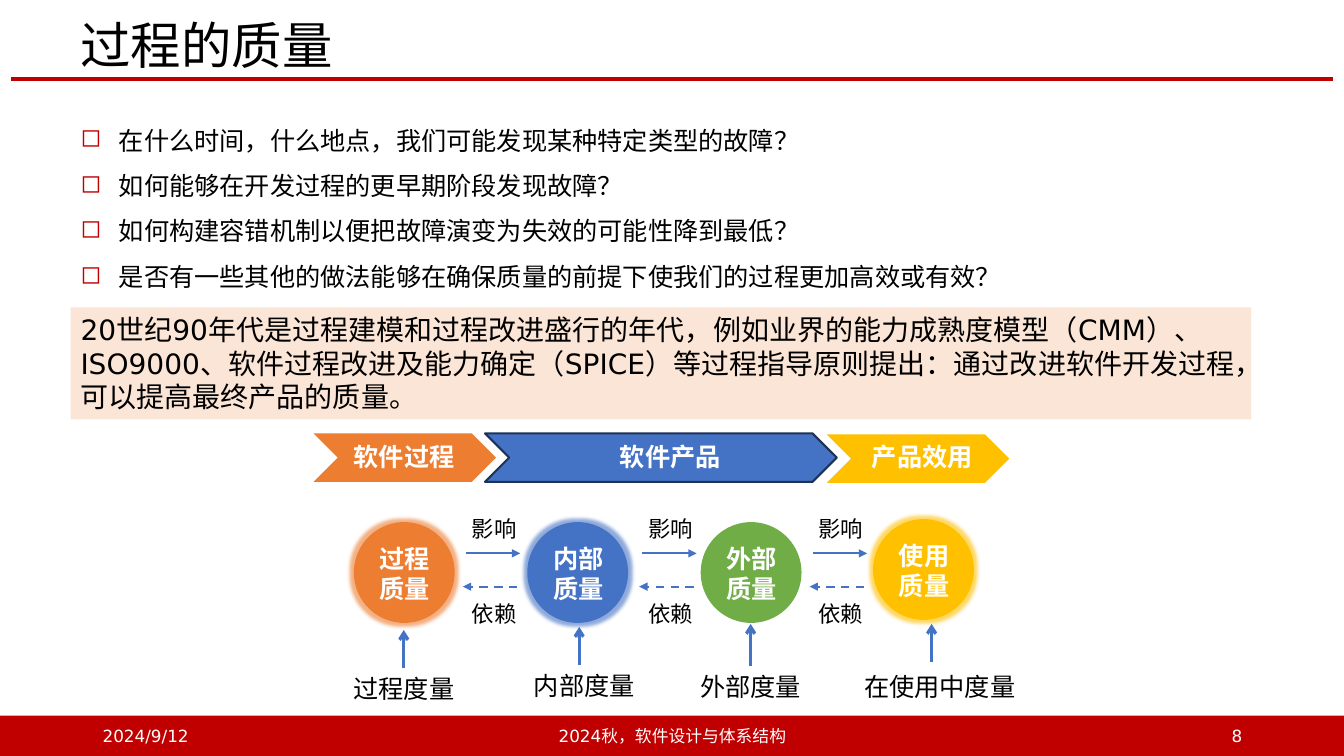
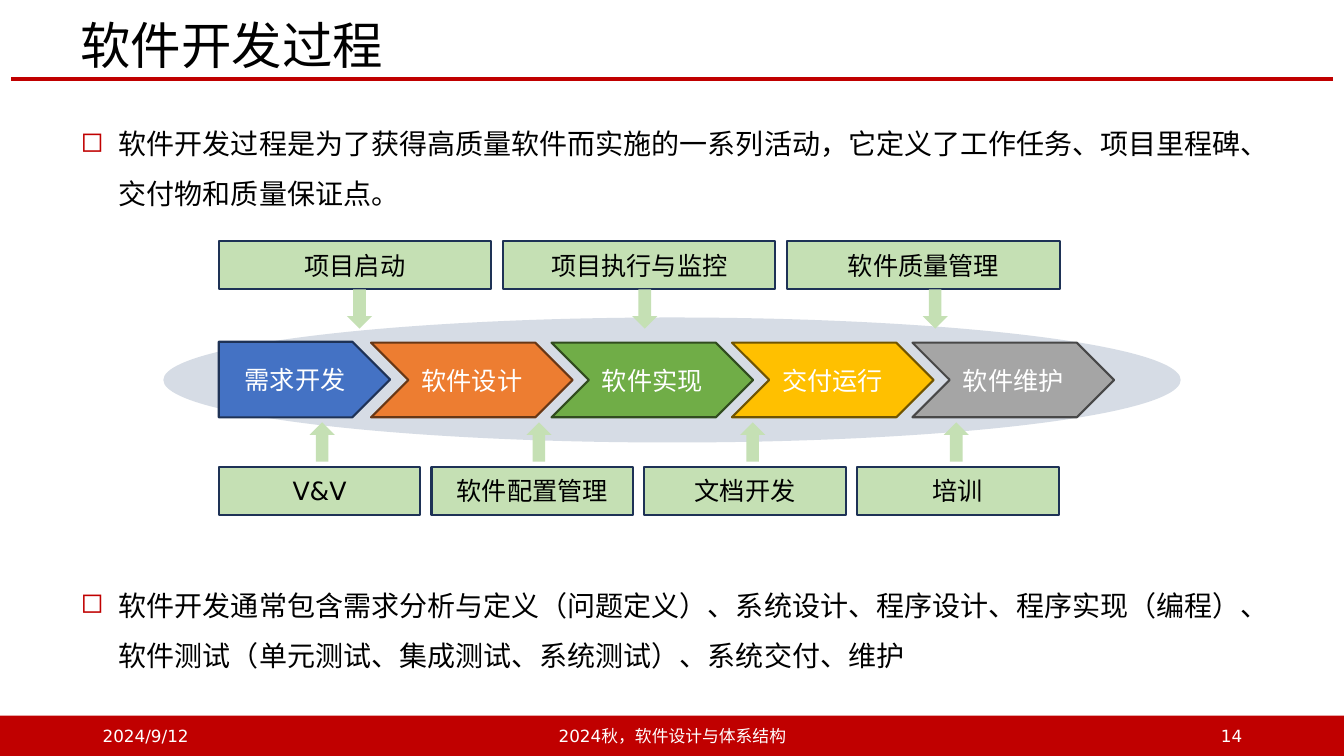
from dataclasses import dataclass
from typing import Optional

from lxml.etree import SubElement
from pptx import Presentation
from pptx.dml.color import RGBColor
from pptx.enum.dml import MSO_LINE
from pptx.enum.shapes import MSO_CONNECTOR as Connector, MSO_SHAPE as Shape
from pptx.enum.text import MSO_ANCHOR as Anchor, PP_ALIGN as Align
from pptx.oxml.ns import qn
from pptx.util import Inches, Pt

RED, WHITE, BLACK = "C00000", "FFFFFF", "000000"
BLUE, ORANGE, GREEN, GOLD, GRAY = "4472C4", "ED7D31", "70AD47", "FFC000", "A5A5A5"
NAVY, PALE_GREEN, PALE_BLUE, PEACH = "1E3256", "C5E0B4", "D6DCE5", "FBE5D6"
BODY_FONT, CJK_FONT = "DejaVu Sans", "Noto Sans CJK SC"
MARGIN, CONTENT_WIDTH = 0.7, 11.71
SLIDE_WIDTH, SLIDE_HEIGHT = 13.33, 7.5


@dataclass(frozen=True)
class Box:
    left: float
    top: float
    width: float
    height: float

    def lengths(self) -> tuple:
        return tuple(Inches(n) for n in (self.left, self.top, self.width, self.height))


@dataclass(frozen=True)
class Stage:
    text: str
    box: Box
    fill: str
    line: Optional[str] = None
    preset: Shape = Shape.CHEVRON


@dataclass(frozen=True)
class Quality:
    text: str
    left: float
    top: float
    fill: str
    glow: bool = True


@dataclass(frozen=True)
class Metric:
    text: str
    box: Box
    arrow_end: float
    arrow_shift: float = 0


@dataclass(frozen=True)
class Activity:
    text: str
    arrow_left: float


def rgb(color: str) -> RGBColor:
    return RGBColor.from_string(color)


def write_text(shape, text: str, *, size: float = 18, font: str = BODY_FONT,
               color: str = BLACK, bold: bool = False, align=Align.LEFT,
               anchor=Anchor.TOP, wrap: bool = True, spacing: float = 1,
               bullet: bool = False) -> None:
    """Fill a shape with text, one paragraph for each line."""
    frame = shape.text_frame
    frame.word_wrap = wrap
    frame.vertical_anchor = anchor
    for index, line in enumerate(text.split("\n")):
        paragraph = frame.paragraphs[0] if index == 0 else frame.add_paragraph()
        paragraph.alignment = align
        paragraph.line_spacing = spacing
        if bullet:
            add_bullet(paragraph)
        run = paragraph.add_run()
        run.text = line
        run.font.size = Pt(size)
        run.font.bold = bold
        run.font.color.rgb = rgb(color)
        run.font.name = font
        SubElement(run._r.get_or_add_rPr(), qn("a:ea"), typeface=font)


def add_bullet(paragraph) -> None:
    properties = paragraph._p.get_or_add_pPr()
    indent = Inches(0.38)
    properties.set("marL", str(indent))
    properties.set("indent", str(-indent))
    SubElement(SubElement(properties, qn("a:buClr")), qn("a:srgbClr"), val=RED)
    SubElement(properties, qn("a:buChar"), char="◻")


def add_text(slide, text: str, box: Box, **text_format):
    shape = slide.shapes.add_textbox(*box.lengths())
    write_text(shape, text, **text_format)
    return shape


def add_shape(slide, preset: Shape, box: Box, fill: str, line: Optional[str] = None):
    shape = slide.shapes.add_shape(preset, *box.lengths())
    shape.shadow.inherit = False
    shape.fill.solid()
    shape.fill.fore_color.rgb = rgb(fill)
    if line:
        shape.line.color.rgb = rgb(line)
        shape.line.width = Pt(1.5)
    else:
        shape.line.fill.background()
    return shape


def add_glow(shape, color: str) -> None:
    effects = shape._element.spPr.find(qn("a:effectLst"))
    glow = SubElement(effects, qn("a:glow"), rad=str(Pt(5)))
    tint = SubElement(glow, qn("a:srgbClr"), val=color)
    SubElement(tint, qn("a:alpha"), val="60000")


def add_line(slide, start: tuple, end: tuple, color: str, width: float,
             arrow: Optional[str] = None, dashed: bool = False):
    points = [Inches(n) for n in (*start, *end)]
    connector = slide.shapes.add_connector(Connector.STRAIGHT, *points)
    connector.line.color.rgb = rgb(color)
    connector.line.width = Pt(width)
    if dashed:
        connector.line.dash_style = MSO_LINE.DASH
    if arrow:
        SubElement(connector.line._get_or_add_ln(), qn("a:tailEnd"), type=arrow)
    SubElement(connector._element.spPr, qn("a:effectLst"))
    return connector


def add_base_slide(presentation, title: str, number: int):
    """Add a blank slide with the title, red rule and footer band."""
    slide = presentation.slides.add_slide(presentation.slide_layouts[6])
    add_line(slide, (0.11, 0.78), (13.22, 0.78), RED, 3)
    add_shape(slide, Shape.RECTANGLE, Box(0, 7.1, SLIDE_WIDTH, 0.4), RED)
    add_text(slide, title, Box(MARGIN, 0.18, CONTENT_WIDTH, 0.6), size=36,
             font=CJK_FONT, anchor=Anchor.MIDDLE, spacing=0.9)
    footers = (
        ("2024/9/12", 0.92, 3, Align.LEFT),
        ("2024秋，软件设计与体系结构", 4.42, 4.5, Align.CENTER),
        (str(number), 9.42, 3, Align.RIGHT),
    )
    for text, left, width, align in footers:
        add_text(slide, text, Box(left, 7.1, width, 0.4), size=12, color=WHITE,
                 align=align, anchor=Anchor.MIDDLE)
    return slide


def add_bullets(slide, text: str, top: float, height: float, size: float) -> None:
    add_text(slide, text, Box(MARGIN, top, CONTENT_WIDTH, height), size=size,
             spacing=1.5, bullet=True)


def add_quality(slide, quality: Quality) -> None:
    circle = add_shape(slide, Shape.OVAL, Box(quality.left, quality.top, 1, 1), quality.fill)
    if quality.glow:
        add_glow(circle, quality.fill)
    add_text(slide, quality.text, Box(quality.left + 0.15, quality.top + 0.16, 0.71, 0.71),
             color=WHITE, bold=True, align=Align.CENTER, wrap=False)


def add_relation(slide, left: float) -> None:
    """Draw the pair of influence and dependency arrows between two circles."""
    add_line(slide, (left + 0.04, 5.49), (left + 0.58, 5.49), BLUE, 1.5, "triangle")
    add_line(slide, (left + 0.55, 5.82), (left + 0.01, 5.82), BLUE, 1.5, "triangle", dashed=True)
    for text, top in (("影响", 5.06), ("依赖", 5.9)):
        add_text(slide, text, Box(left, top, 0.65, 0.37), size=16, wrap=False)


def add_metric(slide, metric: Metric) -> None:
    box = metric.box
    label = add_text(slide, metric.text, box, font=CJK_FONT, align=Align.CENTER,
                     anchor=Anchor.MIDDLE, wrap=False)
    x = box.left + box.width / 2 + metric.arrow_shift
    arrow = add_line(slide, (x, metric.arrow_end + 0.38), (x, metric.arrow_end),
                     BLUE, 2.25, "arrow")
    if not metric.arrow_shift:
        arrow.begin_connect(label, 0)


def add_activities(slide, activities: tuple, top: float, width: float, step: float,
                   arrow: Shape, arrow_top: float) -> None:
    for index, activity in enumerate(activities):
        box = Box(2.17 + index * step, top, width, 0.48)
        rectangle = add_shape(slide, Shape.RECTANGLE, box, PALE_GREEN, NAVY)
        write_text(rectangle, activity.text, align=Align.CENTER, anchor=Anchor.MIDDLE)
        add_shape(slide, arrow, Box(activity.arrow_left, arrow_top, 0.25, 0.39), PALE_GREEN)


def build_quality_slide(presentation) -> None:
    slide = add_base_slide(presentation, "过程的质量", 8)
    questions = (
        "在什么时间，什么地点，我们可能发现某种特定类型的故障？",
        "如何能够在开发过程的更早期阶段发现故障？",
        "如何构建容错机制以便把故障演变为失效的可能性降到最低？",
        "是否有一些其他的做法能够在确保质量的前提下使我们的过程更加高效或有效？",
    )
    add_bullets(slide, "\n".join(questions), 1.04, 1.86, 18)
    panel = add_shape(slide, Shape.RECTANGLE, Box(MARGIN, 3.05, CONTENT_WIDTH, 1.11), PEACH)
    write_text(panel, "20世纪90年代是过程建模和过程改进盛行的年代，例如业界的能力成熟度模型（CMM）、"
               "ISO9000、软件过程改进及能力确定（SPICE）等过程指导原则提出：通过改进软件开发过程，"
               "可以提高最终产品的质量。", size=20)

    stages = (
        (Stage("软件过程", Box(3.11, 4.3, 1.81, 0.48), ORANGE), 3.41),
        (Stage("软件产品", Box(4.81, 4.3, 3.49, 0.48), BLUE, NAVY), 6.05),
        (Stage("产品效用", Box(8.2, 4.31, 1.81, 0.48), GOLD), 8.55),
    )
    for stage, text_left in stages:
        add_shape(slide, stage.preset, stage.box, stage.fill, stage.line)
        add_text(slide, stage.text, Box(text_left, 4.33, 1.21, 0.4), color=WHITE,
                 bold=True, wrap=False)

    qualities = (
        Quality("过程\n质量", 3.51, 5.18, ORANGE),
        Quality("内部\n质量", 5.23, 5.18, BLUE),
        Quality("外部\n质量", 6.95, 5.18, GREEN, glow=False),
        Quality("使用\n质量", 8.66, 5.15, GOLD),
    )
    for quality in qualities:
        add_quality(slide, quality)
    for left in (4.58, 6.33, 8.02):
        add_relation(slide, left)

    metrics = (
        Metric("过程度量", Box(3.4, 6.63, 1.21, 0.4), 6.25),
        Metric("内部度量", Box(5.19, 6.6, 1.21, 0.4), 6.22, -0.05),
        Metric("外部度量", Box(6.84, 6.61, 1.21, 0.4), 6.19),
        Metric("在使用中度量", Box(8.46, 6.61, 1.72, 0.4), 6.19, -0.08),
    )
    for metric in metrics:
        add_metric(slide, metric)


def build_process_slide(presentation) -> None:
    slide = add_base_slide(presentation, "软件开发过程", 14)
    add_bullets(slide, "软件开发过程是为了获得高质量软件而实施的一系列活动，它定义了工作任务、"
                "项目里程碑、交付物和质量保证点。", 1.04, 1.04, 20)
    add_shape(slide, Shape.OVAL, Box(1.62, 3.15, 10.09, 1.24), PALE_BLUE)

    chevrons = (
        ("软件设计", ORANGE, "683715"),
        ("软件实现", GREEN, "314C1F"),
        ("交付运行", GOLD, "705400"),
        ("软件维护", GRAY, "484848"),
    )
    stages = [Stage("需求开发", Box(2.17, 3.39, 1.7, 0.75), BLUE, NAVY, Shape.PENTAGON)]
    stages += [Stage(text, Box(3.68 + index * 1.79, 3.4, 2, 0.74), fill, line)
               for index, (text, fill, line) in enumerate(chevrons)]
    for stage in stages:
        shape = add_shape(slide, stage.preset, stage.box, stage.fill, stage.line)
        write_text(shape, stage.text, color=WHITE, align=Align.CENTER, anchor=Anchor.MIDDLE)

    management = (
        Activity("项目启动", 3.44),
        Activity("项目执行与监控", 6.27),
        Activity("软件质量管理", 9.15),
    )
    support = (
        Activity("V&V", 3.07),
        Activity("软件配置管理", 5.22),
        Activity("文档开发", 7.34),
        Activity("培训", 9.36),
    )
    add_activities(slide, management, 2.39, 2.7, 2.82, Shape.DOWN_ARROW, 2.87)
    add_activities(slide, support, 4.63, 2, 2.11, Shape.UP_ARROW, 4.19)
    add_bullets(slide, "软件开发通常包含需求分析与定义（问题定义）、系统设计、程序设计、程序实现（编程）、"
                "软件测试（单元测试、集成测试、系统测试）、系统交付、维护", 5.62, 1.04, 20)


def main() -> None:
    presentation = Presentation()
    presentation.slide_width = Inches(SLIDE_WIDTH)
    presentation.slide_height = Inches(SLIDE_HEIGHT)
    build_quality_slide(presentation)
    build_process_slide(presentation)
    presentation.save("out.pptx")


if __name__ == "__main__":
    main()
